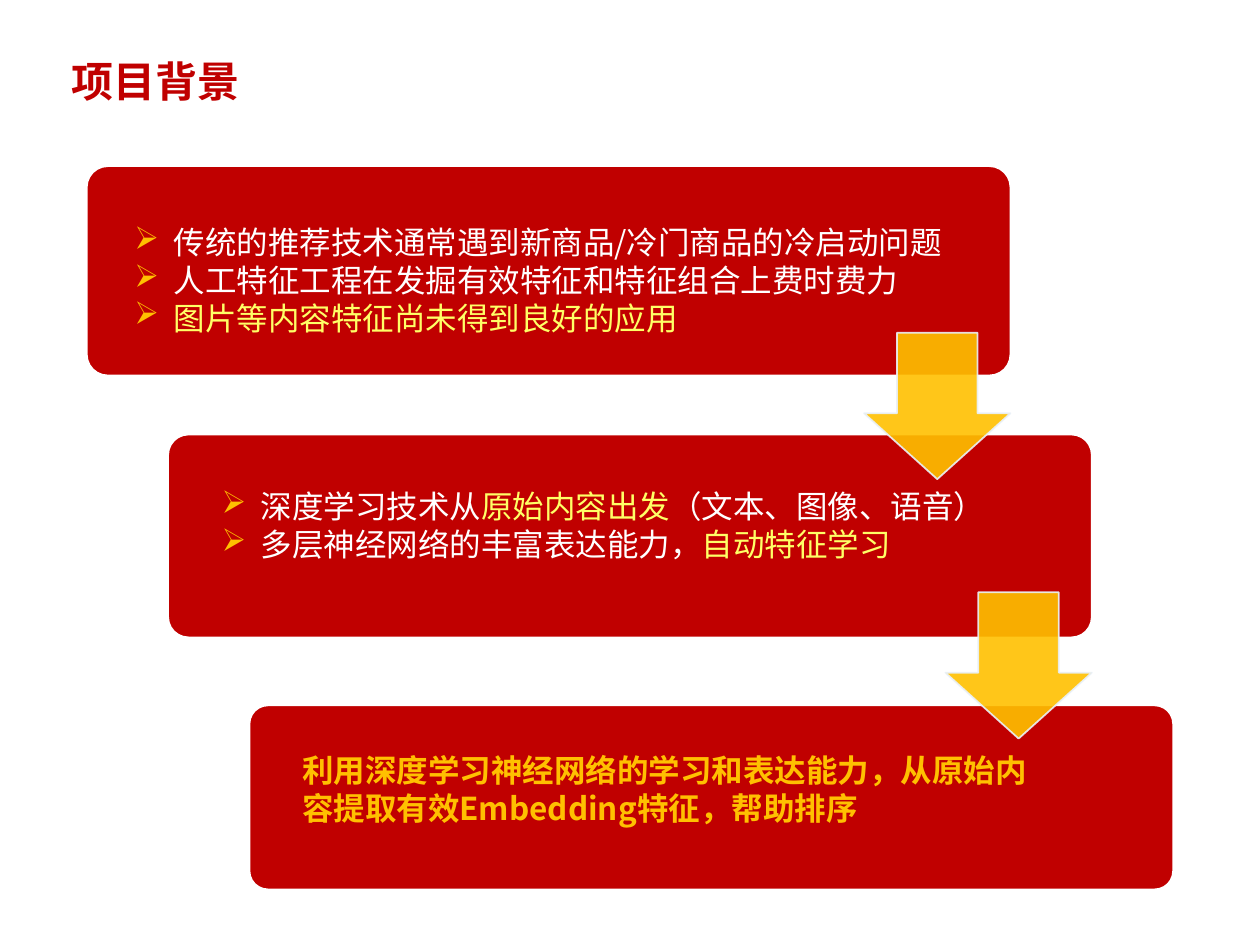
from lxml.etree import SubElement
from pptx import Presentation
from pptx.dml.color import RGBColor
from pptx.enum.shapes import MSO_SHAPE as Preset
from pptx.enum.text import MSO_ANCHOR as Anchor, MSO_AUTO_SIZE as AutoSize, PP_ALIGN as Align
from pptx.oxml.ns import qn
from pptx.util import Cm, Pt

FONT = "Noto Sans CJK SC"
COLORS = {
    "red": "C00000",
    "white": "FFFFFF",
    "gold": "FFC000",
    "yellow": "FFFF66",
    "pale": "E9F1F9",
}
CARD_LEFT, CARD_WIDTH, CARD_STEP = 1.75, 18.62, 1.64
ARROW_SIZE = 2.95
BULLET_INDENT = Cm(0.79)

CARDS = [(3.35, 4.22), (8.76, 4.09), (14.22, 3.71)]
ARROW_TOPS = [6.71, 11.94]
BULLET_BOXES = [
    ((2.46, 4.37, 17.04, 2.57), [
        [("传统的推荐技术通常遇到新商品/冷门商品的冷启动问题", "white")],
        [("人工特征工程在发掘有效特征和特征组合上费时费力", "white")],
        [("图片等内容特征尚未得到良好的应用", "yellow")],
    ]),
    ((4.22, 9.7, 16.23, 1.8), [
        [("深度学习技术从", "white"), ("原始内容出发", "yellow"), ("（文本、图像、语音）", "white")],
        [("多层神经网络的丰富表达能力，", "white"), ("自动特征学习", "yellow")],
    ]),
]
CONCLUSION_BOX = (5.84, 15.01, 15.29, 1.8)
CONCLUSION = "利用深度学习神经网络的学习和表达能力，从原始内容提取有效Embedding特征，帮助排序"


def color(name):
    return RGBColor.from_string(COLORS[name])


def set_values(target, values):
    for name, value in values.items():
        setattr(target, name, value)


def add_run(paragraph, text, color_name, size=18, bold=False):
    run = paragraph.add_run()
    run.text = text
    set_values(run.font, {"name": FONT, "size": Pt(size), "bold": bold})
    run.font.color.rgb = color(color_name)
    SubElement(run.font._element, qn("a:ea"), typeface=FONT)


def add_bullet(paragraph):
    properties = paragraph._p.get_or_add_pPr()
    properties.set("marL", str(BULLET_INDENT))
    properties.set("indent", str(-BULLET_INDENT))
    bullet_color = SubElement(properties, qn("a:buClr"))
    SubElement(bullet_color, qn("a:srgbClr"), val=COLORS["gold"])
    SubElement(properties, qn("a:buChar"), char="➢")


def add_title(slide, text):
    title = slide.shapes.title
    set_values(title, {"left": Cm(1.19), "top": Cm(1.02), "width": Cm(14.15), "height": Cm(1.65)})
    set_values(title.text_frame, {"vertical_anchor": Anchor.TOP, "auto_size": AutoSize.NONE})
    paragraph = title.text_frame.paragraphs[0]
    set_values(paragraph, {"alignment": Align.LEFT, "line_spacing": Pt(28), "space_before": Pt(0)})
    add_run(paragraph, text, "red", size=24, bold=True)


def add_preset(slide, preset, box, adjustments, fill, line, opacity=100):
    shape = slide.shapes.add_shape(preset, *map(Cm, box))
    shape.shadow.inherit = False
    for index, value in enumerate(adjustments):
        shape.adjustments[index] = value
    shape.fill.solid()
    shape.fill.fore_color.rgb = color(fill)
    shape.line.color.rgb = color(line)
    shape.line.width = Pt(1)
    if opacity < 100:
        for element in shape._element.spPr.iter(qn("a:srgbClr")):
            SubElement(element, qn("a:alpha"), val=str(opacity * 1000))


def add_text(slide, box, paragraphs, bulleted=False, bold=False):
    frame = slide.shapes.add_textbox(*map(Cm, box)).text_frame
    set_values(frame, {"word_wrap": True, "auto_size": AutoSize.SHAPE_TO_FIT_TEXT})
    for index, runs in enumerate(paragraphs):
        paragraph = frame.add_paragraph() if index else frame.paragraphs[0]
        paragraph.line_spacing = Pt(21.6)
        if bulleted:
            add_bullet(paragraph)
        for text, color_name in runs:
            add_run(paragraph, text, color_name, bold=bold)


def main():
    presentation = Presentation()
    set_values(presentation, {"slide_width": Cm(25.4), "slide_height": Cm(19.05)})
    slide = presentation.slides.add_slide(presentation.slide_layouts[5])

    add_title(slide, "项目背景")
    for index, (top, height) in enumerate(CARDS):
        box = (CARD_LEFT + index * CARD_STEP, top, CARD_WIDTH, height)
        add_preset(slide, Preset.ROUNDED_RECTANGLE, box, [0.1], "red", "white")
    for index, top in enumerate(ARROW_TOPS):
        left = CARD_LEFT + CARD_WIDTH - ARROW_SIZE + index * CARD_STEP
        box = (left, top, ARROW_SIZE, ARROW_SIZE)
        add_preset(slide, Preset.DOWN_ARROW, box, [0.55, 0.45], "gold", "pale", opacity=90)
    for box, paragraphs in BULLET_BOXES:
        add_text(slide, box, paragraphs, bulleted=True)
    add_text(slide, CONCLUSION_BOX, [[(CONCLUSION, "gold")]], bold=True)

    presentation.save("out.pptx")


if __name__ == "__main__":
    main()
